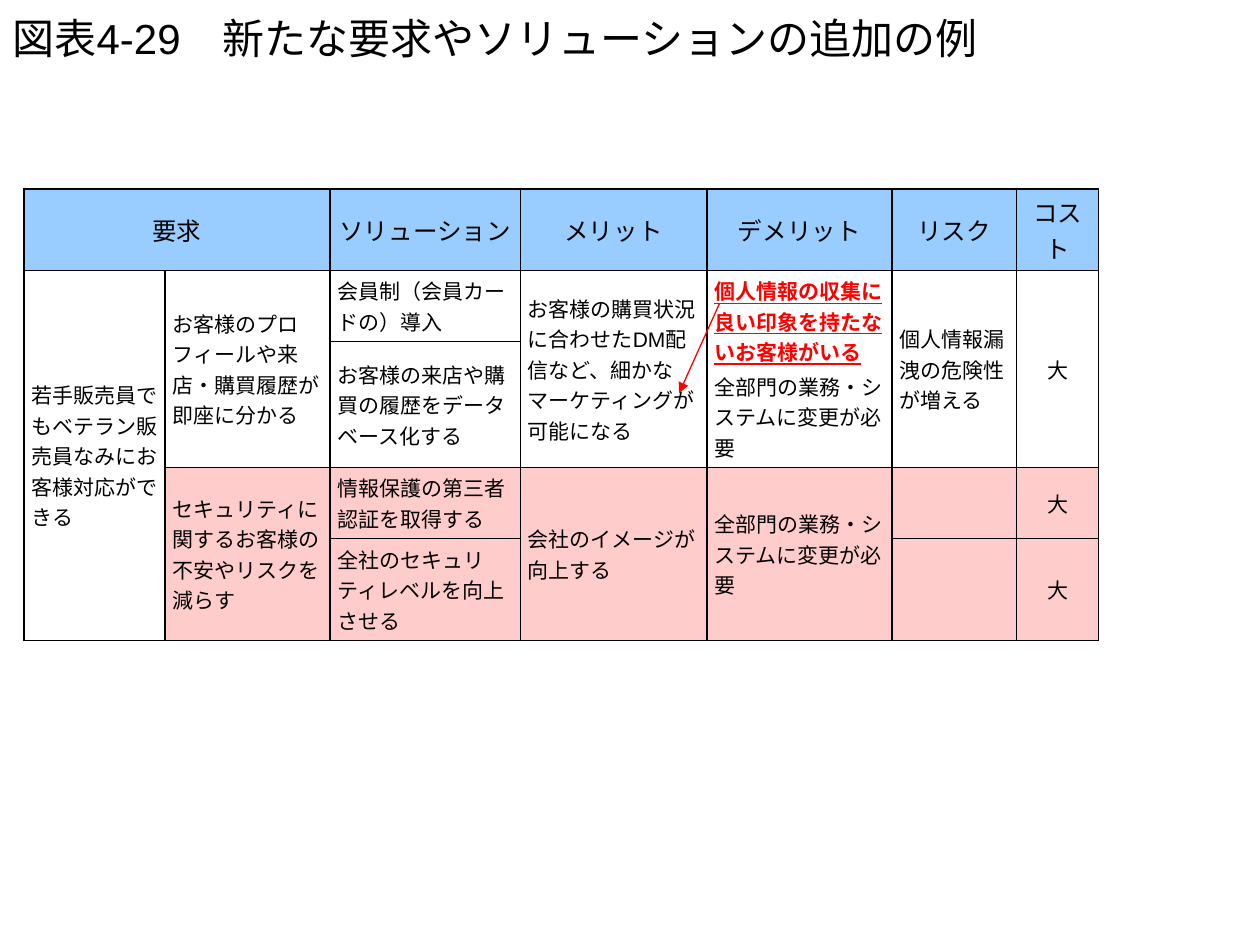
"""Build a slide with a table of added requirements and solutions."""
from lxml import etree
from pptx import Presentation
from pptx import util as u
from pptx.dml.color import RGBColor
from pptx.enum import shapes, text
from pptx.oxml.ns import qn


def color(value):
    return RGBColor.from_string(value)


def add_run(para, words, size, shade="000000"):
    span = para.add_run()
    span.text = words
    span.font.name = "Arial"
    span.font.size = u.Pt(size)
    span.font.color.rgb = color(shade)
    return span


deck = Presentation()
deck.slide_width, deck.slide_height = u.Inches(10), u.Inches(7.5)
page = deck.slides.add_slide(deck.slide_layouts[5])

title = page.shapes.title
title.left, title.top = u.Inches(0), u.Inches(0)
title.width, title.height = u.Inches(10), u.Inches(0.6)
title.text_frame.auto_size = text.MSO_AUTO_SIZE.NONE
title.text_frame.vertical_anchor = text.MSO_ANCHOR.MIDDLE
para = title.text_frame.paragraphs[0]
para.alignment = text.PP_ALIGN.LEFT
add_run(para, "図表4-29　新たな要求やソリューションの追加の例", 24)

widths = [1.12, 1.31, 1.51, 1.48, 1.47, 0.99, 0.65]
heights = [0.64, 0.56, 1.0, 0.56, 0.81]
system_change = "全部門の業務・システムに変更が必要"
concern = "個人情報の収集に良い印象を持たないお客様がいる"
rows = [
    ["要求", "", "ソリューション", "メリット", "デメリット", "リスク", "コスト"],
    ["若手販売員でもベテラン販売員なみにお客様対応ができる",
     "お客様のプロフィールや来店・購買履歴が即座に分かる",
     "会員制（会員カードの）導入",
     "お客様の購買状況に合わせたDM配信など、細かなマーケティングが可能になる",
     concern + "\n" + system_change, "個人情報漏洩の危険性が増える", "大"],
    ["", "", "お客様の来店や購買の履歴をデータベース化する", "", "", "", ""],
    ["", "セキュリティに関するお客様の不安やリスクを減らす",
     "情報保護の第三者認証を取得する", "会社のイメージが向上する",
     system_change, "", "大"],
    ["", "", "全社のセキュリティレベルを向上させる", "", "", "", "大"],
]

frame = page.shapes.add_table(len(rows), len(widths), u.Inches(0.19), u.Inches(1.5),
                              u.Inches(sum(widths)), u.Inches(sum(heights)))
table = frame.table
table.first_row = table.horz_banding = False
for column, width in zip(table.columns, widths):
    column.width = u.Inches(width)
for row, height in zip(table.rows, heights):
    row.height = u.Inches(height)

for r, row in enumerate(rows):
    for c, words in enumerate(row):
        cell = table.cell(r, c)
        cell.margin_left = cell.margin_right = u.Inches(0.06)
        cell.margin_top = cell.margin_bottom = u.Inches(0.04)
        cell.vertical_anchor = text.MSO_ANCHOR.MIDDLE
        properties = cell._tc.get_or_add_tcPr()
        for side in ("a:lnL", "a:lnR", "a:lnT", "a:lnB"):
            border = etree.SubElement(properties, qn(side), w=str(u.Pt(1)))
            fill = etree.SubElement(border, qn("a:solidFill"))
            etree.SubElement(fill, qn("a:srgbClr"), val="000000")
        if r == 0 or (r >= 3 and c > 0):
            cell.fill.solid()
            cell.fill.fore_color.rgb = color("FFCCCC" if r else "99CCFF")
        else:
            cell.fill.background()
        if not words:
            continue
        for i, line in enumerate(words.split("\n")):
            para = cell.text_frame.paragraphs[0] if i == 0 else cell.text_frame.add_paragraph()
            para.alignment = text.PP_ALIGN.CENTER if r == 0 or c == 6 else text.PP_ALIGN.LEFT
            if i:
                para.space_before = u.Pt(2.4)
            span = add_run(para, line, 12 if r else 14, "FF0000" if line == concern else "000000")
            if line == concern:
                span.font.bold = span.font.underline = True

table.cell(0, 0).merge(table.cell(0, 1))
table.cell(1, 0).merge(table.cell(4, 0))
for c in (1, 3, 4, 5, 6):
    table.cell(1, c).merge(table.cell(2, c))
for c in (1, 3, 4):
    table.cell(3, c).merge(table.cell(4, c))

arrow = page.shapes.add_connector(shapes.MSO_CONNECTOR.STRAIGHT, u.Inches(5.71), u.Inches(2.41),
                                  u.Inches(5.39), u.Inches(3.12))
arrow.line.color.rgb = color("FF0000")
arrow.line.width = u.Pt(0.75)
etree.SubElement(arrow.line._get_or_add_ln(), qn("a:tailEnd"), type="triangle")
etree.SubElement(arrow._element.spPr, qn("a:effectLst"))

deck.save("out.pptx")
